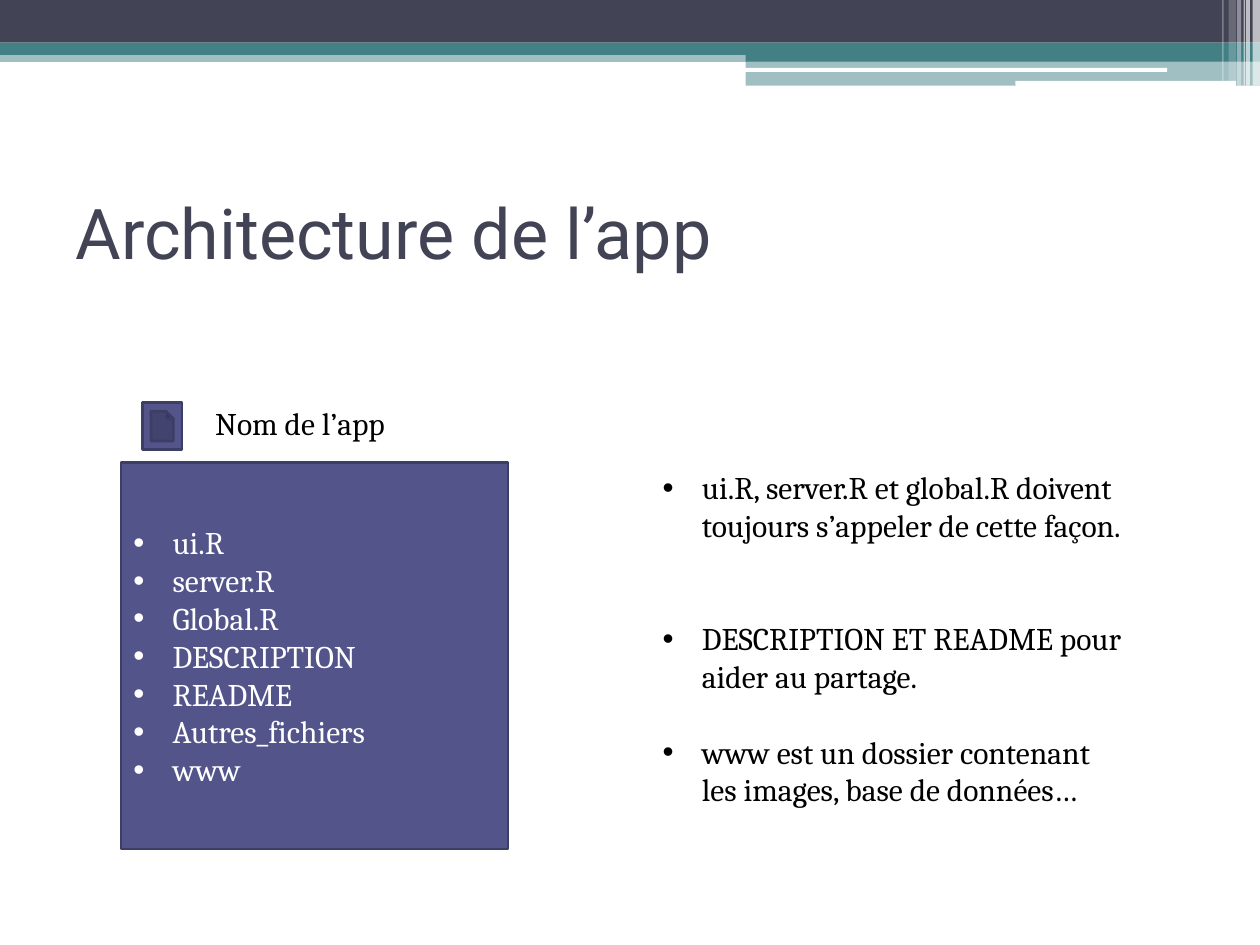
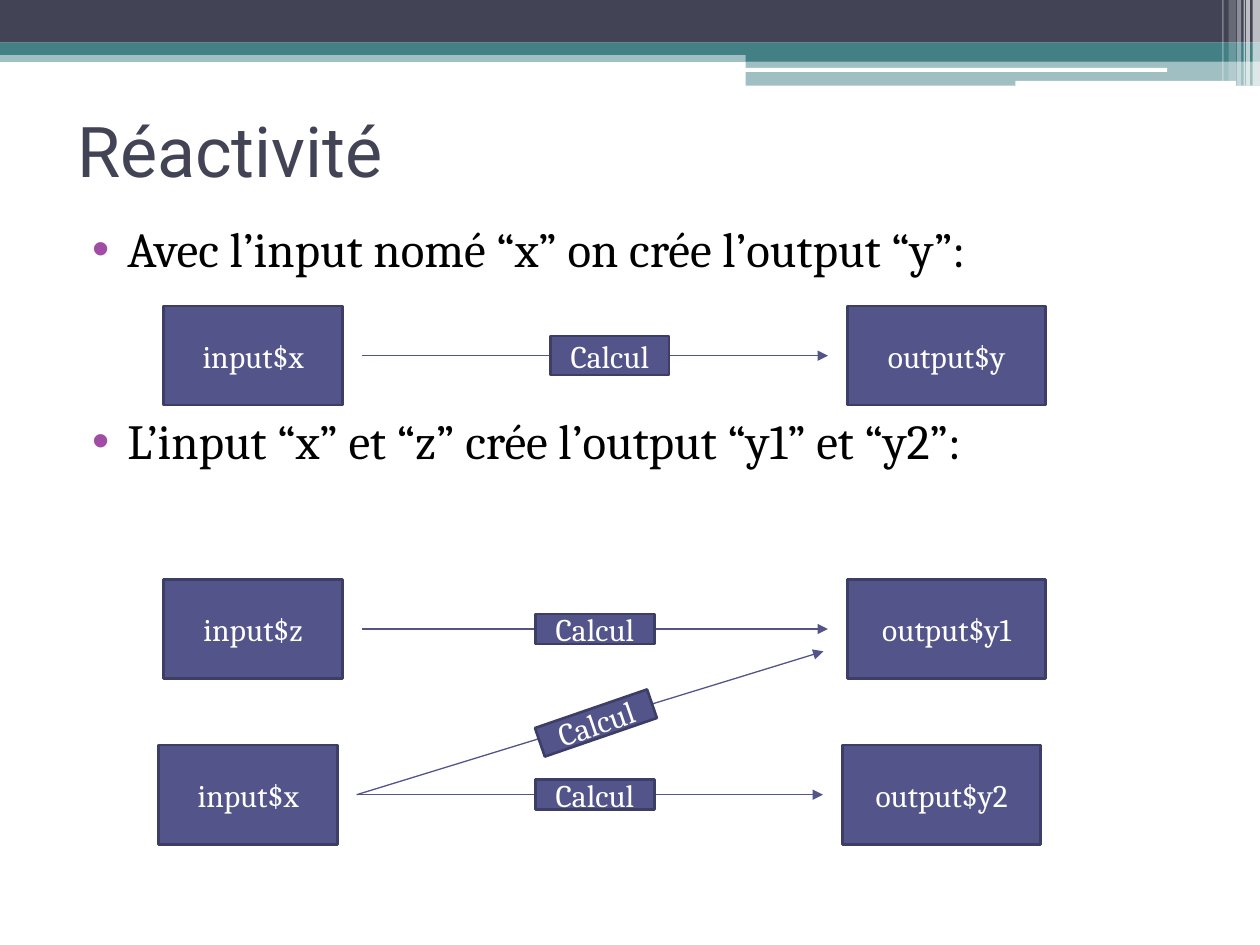
from lxml import etree
from pptx import Presentation
from pptx.dml.color import RGBColor
from pptx.enum import shapes, text
from pptx.oxml import ns
from pptx.util import Cm, Pt

INK, TEAL, WHITE, BLACK = "424456", "438086", "FFFFFF", "000000"
INDIGO, INDIGO_DARK, PURPLE = "53548A", "3D3E66", "A04DA3"
BODY_FONT, TITLE_FONT = "Cambria", "Roboto"
RECT = shapes.MSO_SHAPE.RECTANGLE
ROUNDED = shapes.MSO_SHAPE.ROUNDED_RECTANGLE

# left, top, width, height in cm, colour, opacity in percent
BANDS = [
    (0, 1.02, 25.4, 0.23, TEAL, 50),
    (0, 0, 25.4, 0.86, INK, 100),
    (0, 0.86, 25.4, 0.25, TEAL, 100),
    (15.03, 0.99, 10.37, 0.25, TEAL, 100),
    (15.03, 1.23, 10.37, 0.5, TEAL, 50),
]
WHITE_BARS = [(15.02, 1.37, 8.51, 0.08), (20.47, 1.63, 4.45, 0.1)]
# left, width, height in cm, opacity in percent
STRIPES = [
    (25.25, 0.15, 1.73, 65),
    (25.12, 0.08, 1.73, 65),
    (25.07, 0.03, 1.73, 60),
    (24.94, 0.08, 1.73, 40),
    (24.77, 0.15, 1.63, 20),
    (24.64, 0.03, 1.63, 30),
]


def rgb(value):
    return RGBColor.from_string(value)


def sub(parent, tag, **attrs):
    return etree.SubElement(parent, ns.qn(tag), **attrs)


def add_bullet(p, indent, hanging, color=None):
    pPr = p._p.get_or_add_pPr()
    pPr.set("marL", str(Cm(indent)))
    pPr.set("indent", str(-Cm(hanging)))
    if color:
        sub(sub(pPr, "a:buClr"), "a:srgbClr", val=color)
    sub(pPr, "a:buFont", typeface="Arial")
    sub(pPr, "a:buChar", char="•")


def write(tf, *lines, size=18, font=BODY_FONT, color=BLACK, align="LEFT",
          anchor="TOP", bullet=None, before=()):
    """Fill a frame; bullet holds add_bullet arguments, before the points above each line."""
    tf.word_wrap = True
    tf.vertical_anchor = text.MSO_ANCHOR[anchor]
    for i, line in enumerate(lines):
        p = tf.add_paragraph() if i else tf.paragraphs[0]
        p.text = line
        p.alignment = text.PP_ALIGN[align]
        if before:
            p.space_before = Pt(before[i])
        if bullet:
            add_bullet(p, *bullet)
        for r in p.runs:
            r.font.size, r.font.name = Pt(size), font
            r.font.color.rgb = rgb(color)


def add_text(s, box, *lines, **fmt):
    write(s.shapes.add_textbox(*map(Cm, box)).text_frame, *lines, **fmt)


def add_block(s, box, fill=INDIGO, line=INDIGO_DARK, opacity=100, kind=RECT):
    sp = s.shapes.add_shape(kind, *map(Cm, box))
    sp.shadow.inherit = False
    sp.fill.solid()
    sp.fill.fore_color.rgb = rgb(fill)
    if opacity < 100:
        clr = sp.fill._xPr.find(".//" + ns.qn("a:srgbClr"))
        sub(clr, "a:alpha", val=str(opacity * 1000))
    if line:
        sp.line.color.rgb = rgb(line)
        sp.line.width = Pt(1.5)
    else:
        sp.line.fill.background()
    return sp


def add_label_block(s, box, label, rotation=0):
    sp = add_block(s, box)
    sp.rotation = rotation
    write(sp.text_frame, label, color=WHITE, align="CENTER", anchor="MIDDLE")


def add_arrow(s, x1, y1, x2, y2):
    c = s.shapes.add_connector(shapes.MSO_CONNECTOR.STRAIGHT, *map(Cm, (x1, y1, x2, y2)))
    c.line.color.rgb = rgb(INDIGO)
    c.line.width = Pt(0.75)
    sub(c.line._get_or_add_ln(), "a:tailEnd", type="triangle")
    sub(c._element.spPr, "a:effectLst")


def move_bands_to_layout(s):
    """Draw the header bands and hand them to the layout, so every slide shows them."""
    layout = s.slide_layout
    for ph in list(layout.placeholders):
        if ph.placeholder_format.type != shapes.PP_PLACEHOLDER.TITLE:
            ph.element.getparent().remove(ph.element)
    bands = [add_block(s, box, color, None, opacity) for *box, color, opacity in BANDS]
    bands += [add_block(s, box, WHITE, None, kind=ROUNDED) for box in WHITE_BARS]
    bands += [add_block(s, (left, 0, width, height), WHITE, None, opacity)
              for left, width, height, opacity in STRIPES]
    for sp in bands:
        layout.shapes.element.append(sp.element)


def add_titled_slide(prs, title, left, top):
    s = prs.slides.add_slide(prs.slide_layouts[5])
    sp = s.shapes.title
    sp.left, sp.top, sp.width, sp.height = map(Cm, (left, top, 22.86, 2.97))
    write(sp.text_frame, title, size=40, font=TITLE_FONT, color=INK, anchor="MIDDLE")
    return s


def add_app_folder(s, left, top, side):
    add_block(s, (left + 0.43, top - 1.2, 0.8, 0.94),
              kind=shapes.MSO_SHAPE.ACTION_BUTTON_DOCUMENT)
    add_text(s, (left + 1.65, top - 1.29, 4.2, 1.02), "Nom de l’app")
    folder = add_block(s, (left, top, side, side))
    write(folder.text_frame, "ui.R", "server.R", "Global.R", "DESCRIPTION", "README",
          "Autres_fichiers", "www", color=WHITE, anchor="MIDDLE", bullet=(0.79, 0.79))


def add_flow(s, left, top, source, result, calc_left, calc_height):
    """One row: input box, arrow through a calculation, output box."""
    height = 2
    middle = top + height / 2
    add_label_block(s, (left, top, 3.61, height), source)
    add_label_block(s, (left + 13.79, top, 3.99, height), result)
    add_arrow(s, left + 3.99, middle, left + 13.39, middle)
    add_label_block(s, (calc_left, middle - calc_height / 2, 2.39, calc_height), "Calcul")


def architecture_slide(prs):
    s = add_titled_slide(prs, "Architecture de l’app", 1.27, 3.18)
    move_bands_to_layout(s)
    add_app_folder(s, 2.44, 9.32, 7.8)
    add_text(s, (13.11, 9.32, 10.4, 7.19),
             "ui.R, server.R et global.R doivent\ntoujours s’appeler de cette façon.",
             "DESCRIPTION ET README pour\naider au partage.",
             "www est un dossier contenant\nles images, base de données…",
             bullet=(0.79, 0.79), before=(0, 43, 21.5))


def reactivity_slide(prs):
    s = add_titled_slide(prs, "Réactivité", 1.3, 1.52)
    add_text(s, (1.3, 4.29, 22.86, 12.01),
             "Avec l’input nomé “x” on crée l’output “y”:",
             "L’input “x” et “z” crée l’output “y1” et “y2”:",
             size=28, bullet=(1.02, 0.71, PURPLE), before=(3, 76))
    add_flow(s, 3.3, 6.17, "input$x", "output$y", 11.1, 0.79)
    add_flow(s, 3.2, 15.02, "input$x", "output$y2", 10.8, 0.61)
    add_flow(s, 3.3, 11.68, "input$z", "output$y1", 10.8, 0.61)
    add_arrow(s, 7.19, 16.02, 16.6, 13.13)
    add_label_block(s, (10.82, 14.27, 2.39, 0.61), "Calcul", rotation=341)


def main():
    prs = Presentation()
    prs.slide_width, prs.slide_height = Cm(25.4), Cm(19.05)
    architecture_slide(prs)
    reactivity_slide(prs)
    prs.save("out.pptx")


if __name__ == "__main__":
    main()
